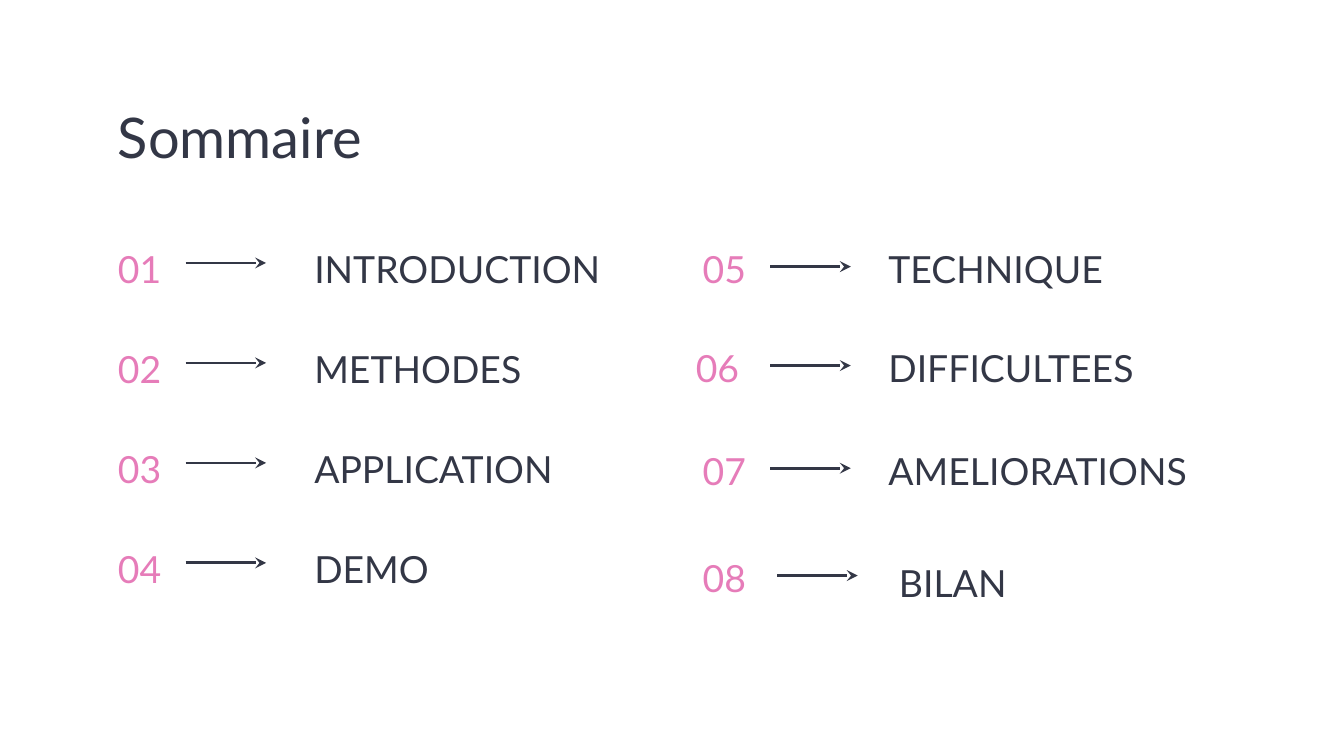
import pptx
import pptx.dml.color
import pptx.enum.shapes
import pptx.enum.text
import pptx.oxml.ns
import pptx.util
from lxml import etree
from pptx.util import Cm

DARK = "333746"
PINK = "E67CB9"
ROW_HEIGHT = 1.45
ARROW_OFFSET = 1.53
ARROW_LENGTH = 1.52

LEFT_TOP = 4.29
LEFT_PITCH = 1.89
# label, label width
LEFT_ENTRIES = [
    ("INTRODUCTION", 6.35),
    ("METHODES", 5.56),
    ("APPLICATION", 5.72),
    ("DEMO", 2.69),
]
# label, label width, row top, shifts of number, arrow and label
RIGHT_ENTRIES = [
    ("TECHNIQUE", 6.35, 4.29, (0, 0, 0)),
    ("DIFFICULTEES", 6.35, 6.16, (-0.13, 0, 0)),
    ("AMELIORATIONS", 7.44, 8.1, (0, 0, 0)),
    ("BILAN", 6.35, 10.13, (0, 0.13, 0.2)),
]
LAST_LABEL_DROP = 0.09


def color(value):
    return pptx.dml.color.RGBColor.from_string(value)


def write_text(shape, text, size, text_color, anchor):
    frame = shape.text_frame
    frame.word_wrap = True
    frame.auto_size = pptx.enum.text.MSO_AUTO_SIZE.NONE
    frame.vertical_anchor = anchor
    frame.margin_left = frame.margin_right = Cm(0.25)
    frame.margin_top = frame.margin_bottom = Cm(0.25)
    paragraph = frame.paragraphs[0]
    paragraph.alignment = pptx.enum.text.PP_ALIGN.LEFT
    paragraph.line_spacing = 1.15
    run = paragraph.add_run()
    run.text = text
    run.font.name = "Lato"
    run.font.size = pptx.util.Pt(size)
    run.font.color.rgb = color(text_color)


def add_title(slide, left, top, width, height):
    title = slide.shapes.title
    title.left, title.top = Cm(left), Cm(top)
    title.width, title.height = Cm(width), Cm(height)
    write_text(title, "Sommaire", 30, DARK, pptx.enum.text.MSO_ANCHOR.TOP)


def add_line_of_text(slide, left, top, width, text, text_color):
    box = slide.shapes.add_textbox(Cm(left), Cm(top), Cm(width), Cm(ROW_HEIGHT))
    write_text(box, text, 20, text_color, pptx.enum.text.MSO_ANCHOR.MIDDLE)


def add_arrow(slide, left, top):
    arrow = slide.shapes.add_connector(
        pptx.enum.shapes.MSO_CONNECTOR.STRAIGHT,
        Cm(left), Cm(top), Cm(left + ARROW_LENGTH), Cm(top))
    arrow.line.color.rgb = color(DARK)
    arrow.line.width = pptx.util.Pt(1.5)
    line = arrow.line._get_or_add_ln()
    etree.SubElement(line, pptx.oxml.ns.qn("a:tailEnd"), type="stealth")
    etree.SubElement(arrow._element.spPr, pptx.oxml.ns.qn("a:effectLst"))


def add_entry(slide, left, top, number, label, label_width, label_offset,
              arrow_drop, shifts=(0, 0, 0), label_drop=0):
    """Place number, arrow and label in one row starting at left, top."""
    number_shift, arrow_shift, label_shift = shifts
    add_line_of_text(slide, left + number_shift, top, 3.71, f"{number:02}", PINK)
    add_arrow(slide, left + ARROW_OFFSET + arrow_shift, top + arrow_drop)
    add_line_of_text(slide, left + label_offset + label_shift, top + label_drop,
                     label_width, label, DARK)


def add_left_column(slide, left, top):
    for row, (label, width) in enumerate(LEFT_ENTRIES):
        add_entry(slide, left, top + row * LEFT_PITCH, row + 1, label, width,
                  label_offset=3.71, arrow_drop=0.68)


def add_right_column(slide, left):
    first = len(LEFT_ENTRIES) + 1
    for number, (label, width, top, shifts) in enumerate(RIGHT_ENTRIES, first):
        is_last = label == RIGHT_ENTRIES[-1][0]
        add_entry(slide, left, top, number, label, width, label_offset=3.51,
                  arrow_drop=0.75, shifts=shifts,
                  label_drop=LAST_LABEL_DROP if is_last else 0)


def main():
    presentation = pptx.Presentation()
    presentation.slide_width = Cm(25.4)
    presentation.slide_height = Cm(14.29)
    slide = presentation.slides.add_slide(presentation.slide_layouts[5])
    slide.background.fill.solid()
    slide.background.fill.fore_color.rgb = color("FFFFFF")
    add_title(slide, 1.98, 1.5, 21.44, 1.96)
    add_left_column(slide, 1.98, LEFT_TOP)
    add_right_column(slide, 13.03)
    presentation.save("out.pptx")


if __name__ == "__main__":
    main()
